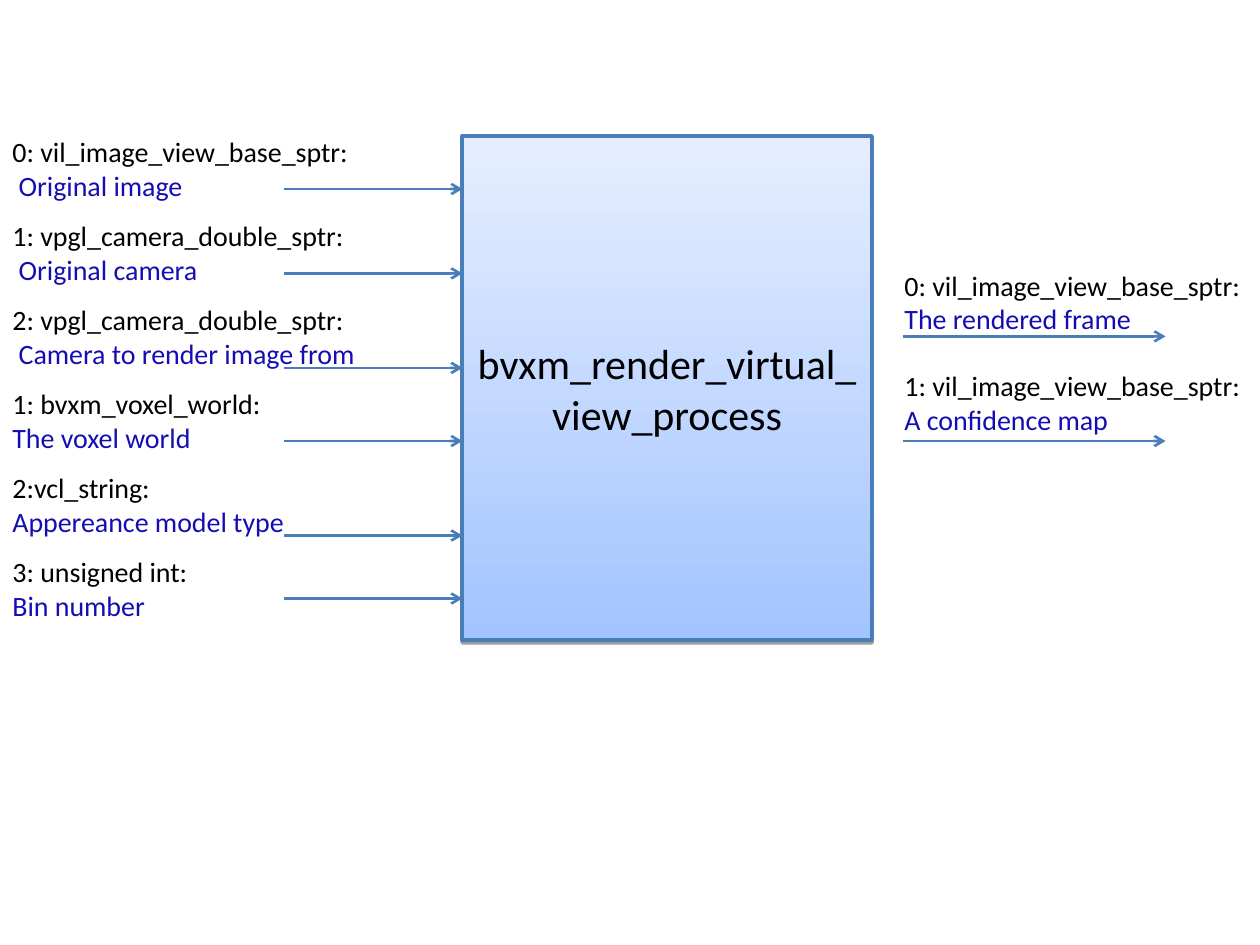
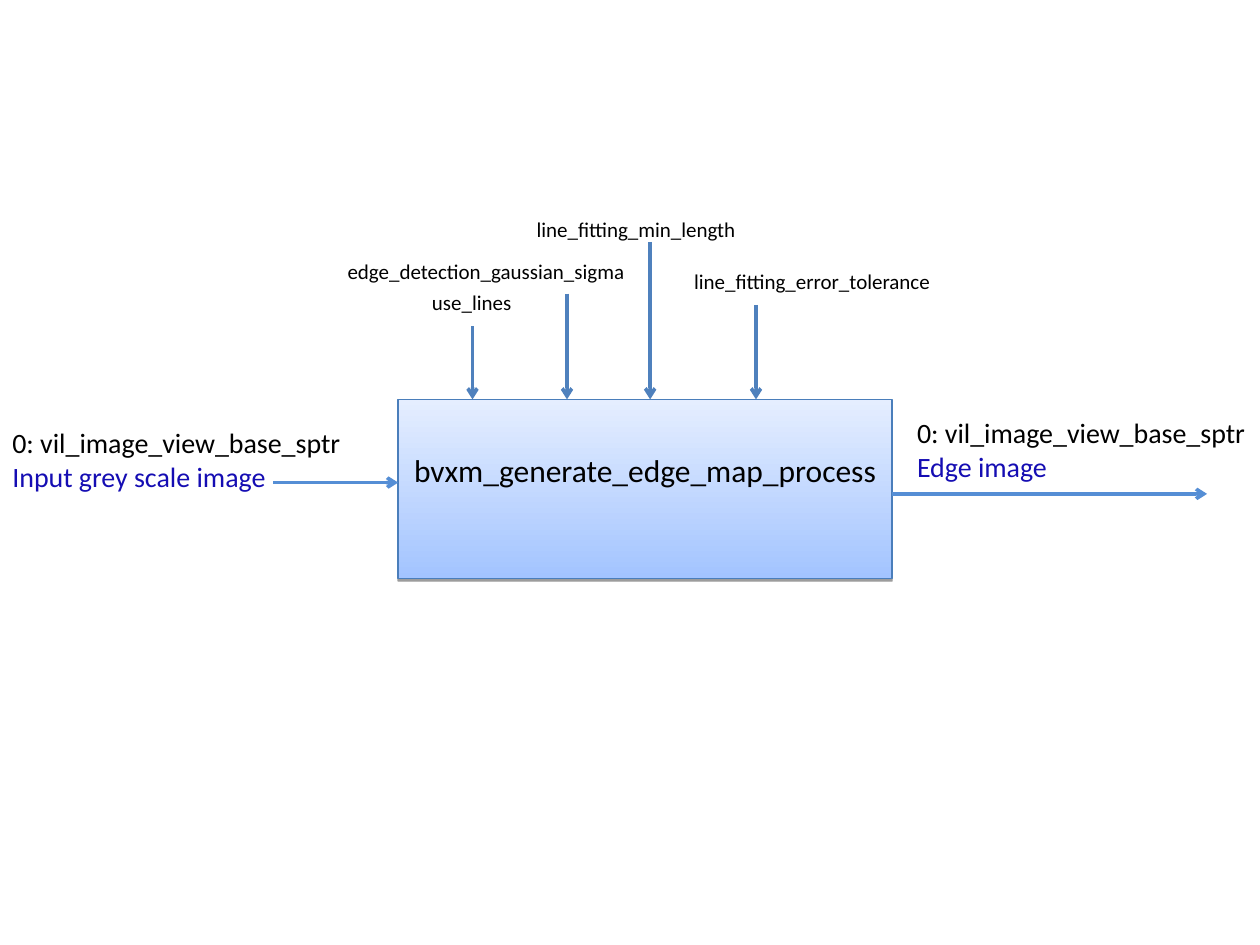
import pptx
import pptx.util
import pptx.dml.color
import pptx.enum.shapes
import pptx.enum.text
import pptx.oxml
import pptx.oxml.ns

Inches = pptx.util.Inches
Pt = pptx.util.Pt

HUES = {
    "ink": "000000",
    "note": "150DB3",
    "edge": "4A7EBB",
    "flow": "558ED5",
    "param": "4F81BD",
    "low": "A3C4FF",
    "high": "E5EEFF",
}
FONT = "Calibri"
SPACE = pptx.oxml.ns.nsdecls("a")
HEAD = f'<a:tailEnd {SPACE} type="arrow"/>'
PLAIN = f"<a:effectLst {SPACE}/>"
SHADE = (
    f'<a:outerShdw {SPACE} blurRad="0" dist="{Pt(1.6)}" dir="5400000" rotWithShape="0">'
    f'<a:srgbClr val="{HUES["ink"]}"><a:alpha val="38000"/></a:srgbClr></a:outerShdw>'
)


def apply(target, style):
    for name, value in style.items():
        setattr(target, name, value)


def rgb(hue):
    return pptx.dml.color.RGBColor.from_string(HUES[hue])


class Sketch:
    def __init__(self):
        self.deck = pptx.Presentation()
        apply(self.deck, {"slide_width": Inches(10), "slide_height": Inches(7.5)})
        self.slide = None

    def page(self):
        self.slide = self.deck.slides.add_slide(self.deck.slide_layouts[6])

    def words(self, para, text, size, hue="ink"):
        run = para.add_run()
        run.text = text
        apply(run.font, {"name": FONT, "size": Pt(size)})
        run.font.color.rgb = rgb(hue)

    def box(self, at, text, size, weight, foot=0.05):
        kind = pptx.enum.shapes.MSO_SHAPE.RECTANGLE
        shape = self.slide.shapes.add_shape(kind, *map(Inches, at))
        shape.fill.gradient()
        shape.fill.gradient_angle = 90
        for stop, hue in zip(shape.fill.gradient_stops, ("low", "high")):
            stop.color.rgb = rgb(hue)
        shape.line.color.rgb = rgb("edge")
        shape.line.width = Pt(weight)
        shape.shadow.inherit = False
        effect = shape._element.spPr.find(pptx.oxml.ns.qn("a:effectLst"))
        effect.append(pptx.oxml.parse_xml(SHADE))
        frame = shape.text_frame
        apply(frame, {
            "word_wrap": True,
            "margin_bottom": Inches(foot),
            "vertical_anchor": pptx.enum.text.MSO_ANCHOR.MIDDLE,
        })
        para = frame.paragraphs[0]
        para.alignment = pptx.enum.text.PP_ALIGN.CENTER
        self.words(para, text, size)

    def label(self, at, pairs, gap=0, size=16, wrap=True):
        frame = self.slide.shapes.add_textbox(*map(Inches, at)).text_frame
        frame.word_wrap = wrap
        para = frame.paragraphs[0]
        for row, pair in enumerate(pairs):
            for text, hue in zip(pair, ("ink", "note")):
                if para is None:
                    para = frame.add_paragraph()
                    if row and hue == "ink":
                        para.space_before = Pt(gap)
                self.words(para, text, size, hue)
                para = None

    def arrow(self, start, end, hue="edge", weight=1.5):
        kind = pptx.enum.shapes.MSO_CONNECTOR.STRAIGHT
        line = self.slide.shapes.add_connector(kind, *map(Inches, start + end))
        line.line.color.rgb = rgb(hue)
        line.line.width = Pt(weight)
        line.line._get_or_add_ln().append(pptx.oxml.parse_xml(HEAD))
        line._element.spPr.append(pptx.oxml.parse_xml(PLAIN))


def render(art):
    art.page()
    art.box((3.67, 1.08, 3.25, 4), "bvxm_render_virtual_view_process", 24, 2.25)
    art.label((0, 1.02, 4.08, 3.96), [
        ("0: vil_image_view_base_sptr:", " Original image"),
        ("1: vpgl_camera_double_sptr:", " Original camera"),
        ("2: vpgl_camera_double_sptr:", " Camera to render image from"),
        ("1: bvxm_voxel_world:", "The voxel world"),
        ("2:vcl_string:", "Appereance model type"),
        ("3: unsigned int:", "Bin number"),
    ], gap=9.6)
    art.label((7.08, 2.08, 2.92, 1.44), [
        ("0: vil_image_view_base_sptr:", "The rendered frame"),
        ("1: vil_image_view_base_sptr:", "A confidence map"),
    ], gap=19.2)
    for y in (1.5, 2.17, 2.92, 3.5, 4.25, 4.75):
        art.arrow((2.25, y), (3.67, y))
    for y in (2.67, 3.5):
        art.arrow((7.17, y), (9.25, y))


def detect(art):
    art.page()
    art.box((3.16, 3.17, 3.92, 1.42), "bvxm_generate_edge_map_process", 18, 0.75, foot=0.35)
    source = "0: vil_image_view_base_sptr"
    art.label((7.18, 3.25, 2.81, 0.64), [(source, "Edge image")], wrap=False)
    art.label((0, 3.33, 3, 0.64), [(source, "Input grey scale image")])
    for left, right, y in ((2.17, 3.16, 3.83), (7.08, 9.58, 3.92)):
        art.arrow((left, y), (right, y), "flow", 2)
    params = [
        ("edge_detection_gaussian_sigma", 2.66, 2, 2.68, 4.5, 2.33),
        ("use_lines", 3.33, 2.25, 0.92, 3.75, 2.59),
        ("line_fitting_min_length", 4.16, 1.67, 1.92, 5.16, 1.92),
        ("line_fitting_error_tolerance", 5.41, 2.08, 2.42, 6, 2.42),
    ]
    for name, left, top, width, x, y in params:
        art.label((left, top, width, 0.3), [(name,)], size=12)
        art.arrow((x, y), (x, 3.17), "param", 2)


def main():
    art = Sketch()
    render(art)
    detect(art)
    art.deck.save("out.pptx")


if __name__ == "__main__":
    main()
